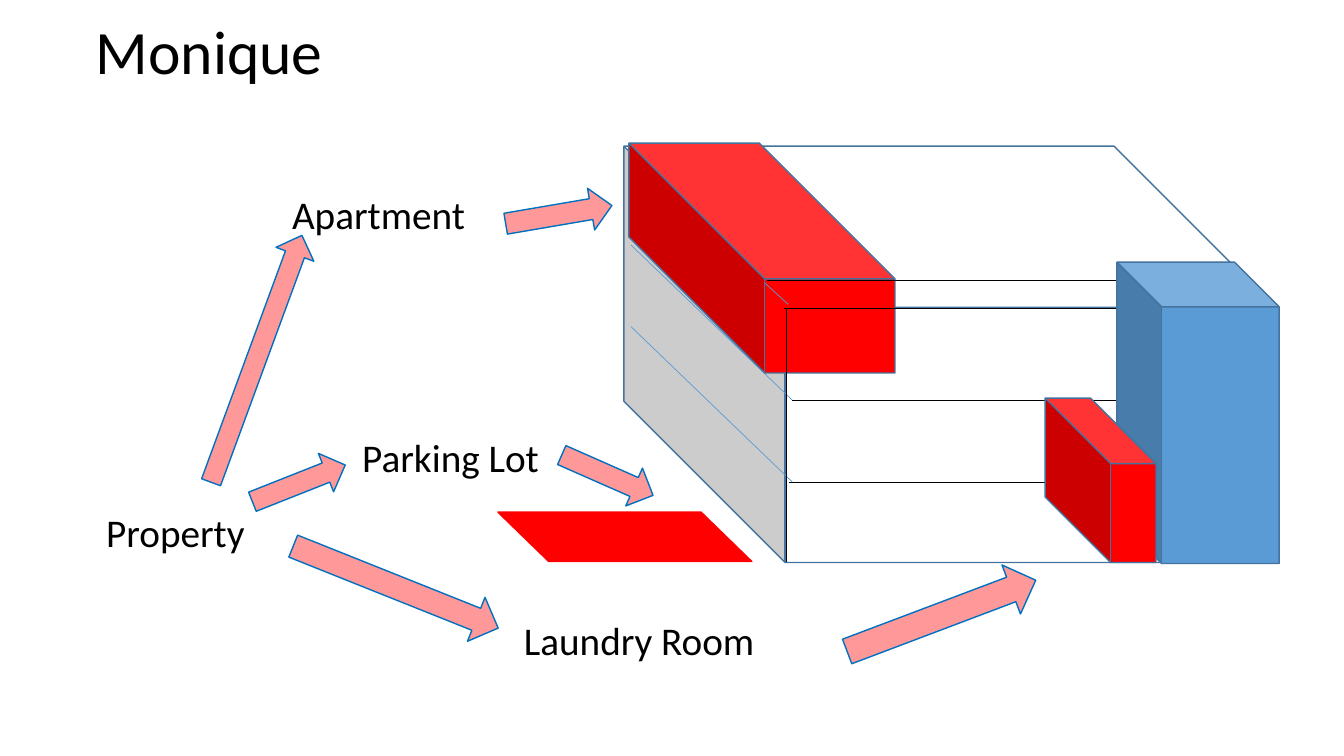
"""Build the slide that maps Monique's property onto an apartment building."""
from dataclasses import dataclass

from lxml import etree
from pptx import Presentation
from pptx.dml.color import RGBColor
from pptx.enum.shapes import MSO_CONNECTOR as Connector, MSO_SHAPE as Shape
from pptx.enum.text import MSO_ANCHOR as Anchor, MSO_AUTO_SIZE as AutoSize, PP_ALIGN as Align
from pptx.oxml.ns import qn
from pptx.util import Pt


@dataclass(frozen=True)
class Theme:
    """Colours, font and type sizes of the slide."""
    font: str = "Calibri"
    title_size: float = 44
    label_size: float = 28
    ink: str = "000000"
    wall: str = "FFFFFF"
    owned: str = "FF0000"
    tower: str = "5B9BD5"
    edge: str = "43739E"
    arrow: str = "FF9999"
    arrow_edge: str = "0070C0"
    outline: float = 1
    hairline: float = 0.5


THEME = Theme()
SLIDE_SIZE = (960, 540)
TITLE = ("Monique", (61.2, 11.5, 828, 104.4))
LABELS = [
    ("Property", (-37.4, 359.3, 325.4, 41.2)),
    ("Parking Lot", (159.1, 306, 325.4, 41.2)),
    ("Laundry Room", (293.8, 436.3, 325.4, 41.2)),
    ("Apartment", (182.9, 132.5, 175, 41.2)),
]
BUILDING = ((445.7, 104.4, 465.1, 297.4), 0.387, THEME.wall)
APARTMENT = ((449.3, 102.2, 190.1, 164.2), 0.591, THEME.owned)
TOWER = ((797.8, 187.2, 115.9, 215.3), 0.276, THEME.tower)
LAUNDRY = ((746.6, 284.4, 79.2, 117.4), 0.591, THEME.owned)
PARKING = (355.7, 365.8, 181.4, 35.3)
FLOOR_LINES = [
    ((910.8, 344.9), (563.8, 344.9), THEME.ink),
    ((563.8, 220.3), (547.2, 202.3), THEME.tower),
    ((565.9, 344.2), (450.7, 233.3), THEME.tower),
    ((565.9, 285.8), (450.7, 175), THEME.tower),
    ((910.8, 285.8), (565.9, 285.8), THEME.ink),
]
FRONT_LINES = [
    ((910.8, 220.3), (560.2, 220.3), THEME.ink),
    ((561.6, 401.8), (561.6, 220.3), THEME.ink),
    ((563, 217.4), (546.5, 202.3), THEME.tower),
    ((547.9, 200.2), (893.5, 200.2), THEME.ink),
]
ARROWS = [
    ((398.2, 324.7, 71.3, 29.5), 23.8),
    ((600.5, 421.2, 144, 37.4), -20.7),
    ((360.7, 138.2, 77, 30.2), -9.7),
    ((89.3, 241.9, 187.9, 28.8), -69.8),
    ((177.8, 330.5, 71.3, 29.5), -21.6),
    ((203.8, 402.5, 157.7, 33.8), 21.8),
]


def points(values):
    return [Pt(value) for value in values]


def color(code):
    return RGBColor.from_string(code)


def add_solid(slide, preset, box, fill, edge, flipped=False):
    shape = slide.shapes.add_shape(preset, *points(box))
    shape.shadow.inherit = False
    shape.fill.solid()
    shape.fill.fore_color.rgb = color(fill)
    shape.line.color.rgb = color(edge)
    shape.line.width = Pt(THEME.outline)
    if flipped:
        shape._element.spPr.find(qn("a:xfrm")).set("flipH", "1")
    return shape


def add_block(slide, box, depth, fill):
    block = add_solid(slide, Shape.CUBE, box, fill, THEME.edge, flipped=True)
    block.adjustments[0] = depth


def add_lines(slide, lines):
    for start, end, ink in lines:
        line = slide.shapes.add_connector(Connector.STRAIGHT, *points(start + end))
        line.line.color.rgb = color(ink)
        line.line.width = Pt(THEME.hairline)
        etree.SubElement(line._element.spPr, qn("a:effectLst"))


def add_text(slide, text, box, size, align):
    frame = slide.shapes.add_textbox(*points(box)).text_frame
    frame.word_wrap = True
    frame.vertical_anchor = Anchor.TOP
    paragraph = frame.paragraphs[0]
    paragraph.alignment = align
    run = paragraph.add_run()
    run.text = text
    run.font.name = THEME.font
    run.font.size = Pt(size)
    run.font.color.rgb = color(THEME.ink)
    return frame


def main():
    presentation = Presentation()
    presentation.slide_width, presentation.slide_height = points(SLIDE_SIZE)
    slide = presentation.slides.add_slide(presentation.slide_layouts[6])

    add_block(slide, *BUILDING)
    add_lines(slide, FLOOR_LINES)
    add_block(slide, *APARTMENT)
    add_lines(slide, FRONT_LINES)
    add_block(slide, *TOWER)
    add_block(slide, *LAUNDRY)
    add_solid(slide, Shape.FLOWCHART_DATA, PARKING, THEME.owned, THEME.owned, flipped=True)

    for box, angle in ARROWS:
        arrow = add_solid(slide, Shape.RIGHT_ARROW, box, THEME.arrow, THEME.arrow_edge)
        arrow.rotation = angle
    for text, box in LABELS:
        label = add_text(slide, text, box, THEME.label_size, Align.CENTER)
        label.auto_size = AutoSize.SHAPE_TO_FIT_TEXT
    title = add_text(slide, *TITLE, THEME.title_size, Align.LEFT)
    title.paragraphs[0].line_spacing = 0.9

    presentation.save("out.pptx")


if __name__ == "__main__":
    main()
